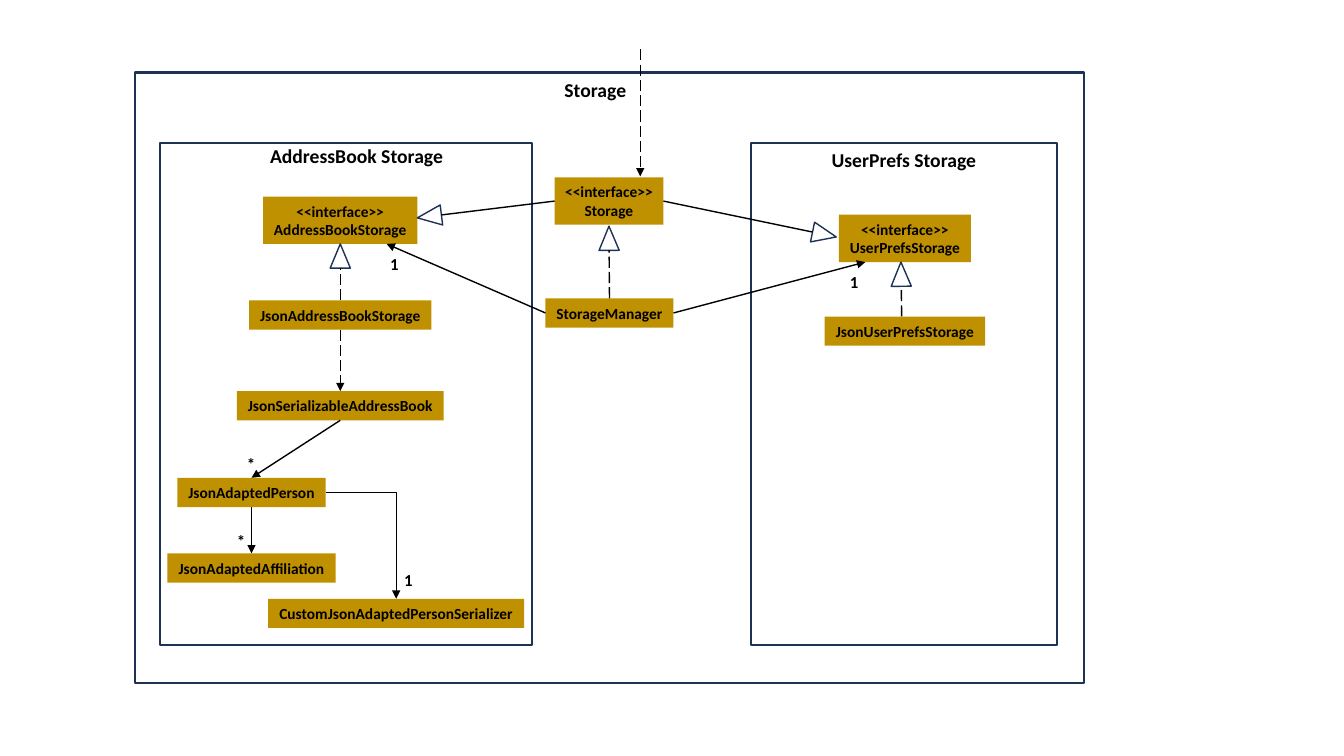
from math import atan2, cos, degrees, sin

from lxml.etree import SubElement
from pptx import Presentation
from pptx.dml.color import RGBColor
from pptx.enum.dml import MSO_LINE
from pptx.enum.shapes import MSO_CONNECTOR, MSO_SHAPE
from pptx.enum.text import MSO_AUTO_SIZE, PP_ALIGN
from pptx.oxml.ns import qn
from pptx.util import Inches, Pt

NAVY, GOLD, BLACK = "1E3256", "BF9000", "000000"
COLS, ROWS = 133.33, 75
FRAME = (13.4, 7.2, 94.1, 60.6)
BOOK = (15.9, 14.2, 36.9, 49.8)
PREFS = (74.5, 14.2, 30.3, 49.8)
HEAD = 2.4

deck = Presentation()
deck.slide_width, deck.slide_height = Inches(13.33), Inches(7.5)
slide = deck.slides.add_slide(deck.slide_layouts[6])


def color(code):
    """Turn a hex string into a colour."""
    return RGBColor.from_string(code)


def cells(*spans):
    """Turn grid cells into slide lengths."""
    return [round(span * deck.slide_height / ROWS) for span in spans]


def spot(box, across, down):
    """Return the point at the given shares of a box."""
    left, top, width, height = box
    return left + across * width, top + down * height


def write(shape, text, size, align):
    """Put bold text into a shape that fits it."""
    frame = shape.text_frame
    frame.text = text
    frame.word_wrap = False
    frame.auto_size = MSO_AUTO_SIZE.SHAPE_TO_FIT_TEXT
    for line in frame.paragraphs:
        line.alignment = align
        line.font.name, line.font.size, line.font.bold = "Calibri", Pt(size), True
        line.font.color.rgb = color(BLACK)


def outline(box, kind, weight):
    """Draw an unfilled navy shape."""
    shape = slide.shapes.add_shape(kind, *cells(*box))
    shape.shadow.inherit = False
    shape.fill.background()
    shape.line.color.rgb = color(NAVY)
    shape.line.width = Pt(weight)
    return shape


def label(home, col, row, text, width=2.9, height=3, size=12):
    """Write a label at an offset inside its home box."""
    box = cells(home[0] + col, home[1] + row, width, height)
    write(slide.shapes.add_textbox(*box), text, size, PP_ALIGN.LEFT)


def node(home, col, row, width, name, face=False):
    """Draw a class box inside its home box and return its bounds."""
    box = (home[0] + col, home[1] + row, width, 4.7 if face else 2.9)
    shape = slide.shapes.add_shape(MSO_SHAPE.RECTANGLE, *cells(*box))
    shape.shadow.inherit = False
    shape.fill.solid()
    shape.fill.fore_color.rgb = color(GOLD)
    shape.line.fill.background()
    write(shape, "<<interface>>\n" + name if face else name, 11, PP_ALIGN.CENTER)
    return box


def link(start, end, dash=False, arrow=True, bent=False):
    """Join two points with a straight or bent line."""
    kind = MSO_CONNECTOR.ELBOW if bent else MSO_CONNECTOR.STRAIGHT
    line = slide.shapes.add_connector(kind, *cells(*start, *end))
    line.line.color.rgb = color(BLACK)
    line.line.width = Pt(1)
    if dash:
        line.line.dash_style = MSO_LINE.LONG_DASH
    props = line._element.spPr
    if arrow:
        SubElement(props.find(qn("a:ln")), qn("a:tailEnd"), type="triangle")
    if bent:
        props.find(qn("a:prstGeom")).set("prst", "bentConnector2")
    SubElement(props, qn("a:effectLst"))


def extend(child, tip, dash=False):
    """Draw a line from a child that ends in a hollow head at the tip."""
    angle = atan2(tip[1] - child[1], tip[0] - child[0])
    back = [tip[0] - HEAD * cos(angle), tip[1] - HEAD * sin(angle)]
    mid = [(tip[0] + back[0]) / 2, (tip[1] + back[1]) / 2]
    head = outline((mid[0] - 1, mid[1] - HEAD / 2, 2, HEAD), MSO_SHAPE.ISOSCELES_TRIANGLE, 1)
    head.rotation = (degrees(angle) + 90) % 360
    link(child, back, dash, arrow=False)


def book(home):
    """Draw the address book panel and return its interface box."""
    outline(home, MSO_SHAPE.RECTANGLE, 1.5)
    label(home, 9.9, -0.4, "AddressBook Storage", 19.6, 3.4, 14)
    face = node(home, 10.2, 5.3, 15.3, "AddressBookStorage", True)
    json = node(home, 8.8, 15.6, 18.1, "JsonAddressBookStorage")
    serial = node(home, 7.6, 24.6, 20.5, "JsonSerializableAddressBook")
    person = node(home, 1.7, 33.2, 14.7, "JsonAdaptedPerson")
    group = node(home, 0.7, 40.7, 16.7, "JsonAdaptedAffiliation")
    custom = node(home, 10.7, 45.2, 25.4, "CustomJsonAdaptedPersonSerializer")
    extend(spot(json, 0.5, 0), spot(face, 0.5, 1), dash=True)
    for source, target, dash in ((json, serial, True), (serial, person, False), (person, group, False)):
        link(spot(source, 0.5, 1), spot(target, 0.5, 0), dash)
    link(spot(person, 1, 0.5), spot(custom, 0.5, 0), bent=True)
    for col, row, text in ((21.8, 10.5, "1"), (7.6, 30.3, "*"), (6.6, 38, "*"), (23.2, 41.8, "1")):
        label(home, col, row, text)
    return face


def prefs(home):
    """Draw the user preferences panel and return its interface box."""
    outline(home, MSO_SHAPE.RECTANGLE, 1.5)
    label(home, 7, 0, "UserPrefs Storage", 16.4, 3.4, 14)
    face = node(home, 8.7, 7.1, 13.1, "UserPrefsStorage", True)
    json = node(home, 7.3, 17.2, 15.9, "JsonUserPrefsStorage")
    extend(spot(json, 0.48, 0), spot(face, 0.47, 1), dash=True)
    label(home, 8.8, 12.3, "1")
    return face


def storage(home):
    """Draw the storage frame, its core classes and both panels."""
    outline(home, MSO_SHAPE.RECTANGLE, 1.5)
    label(home, 41.6, 0, "Storage", 8.5, 3.4, 14)
    left, right = book(BOOK), prefs(PREFS)
    face = node(home, 41.6, 10.4, 10.8, "Storage", True)
    boss = node(home, 40.7, 22.4, 12.7, "StorageManager")
    entry = home[0] + 50.1
    link((entry, home[1] - 2.3), (entry, face[1] - 0.1), dash=True)
    extend(spot(boss, 0.5, 0), spot(face, 0.5, 1.03), dash=True)
    extend(spot(face, 0, 0.5), spot(left, 1, 0.45))
    extend(spot(face, 1, 0.5), spot(right, -0.02, 0.47))
    link(spot(boss, 0, 0.5), spot(left, 0.8, 1))
    link(spot(boss, 1, 0.5), spot(right, 0.2, 1))


storage(FRAME)
deck.save("out.pptx")
